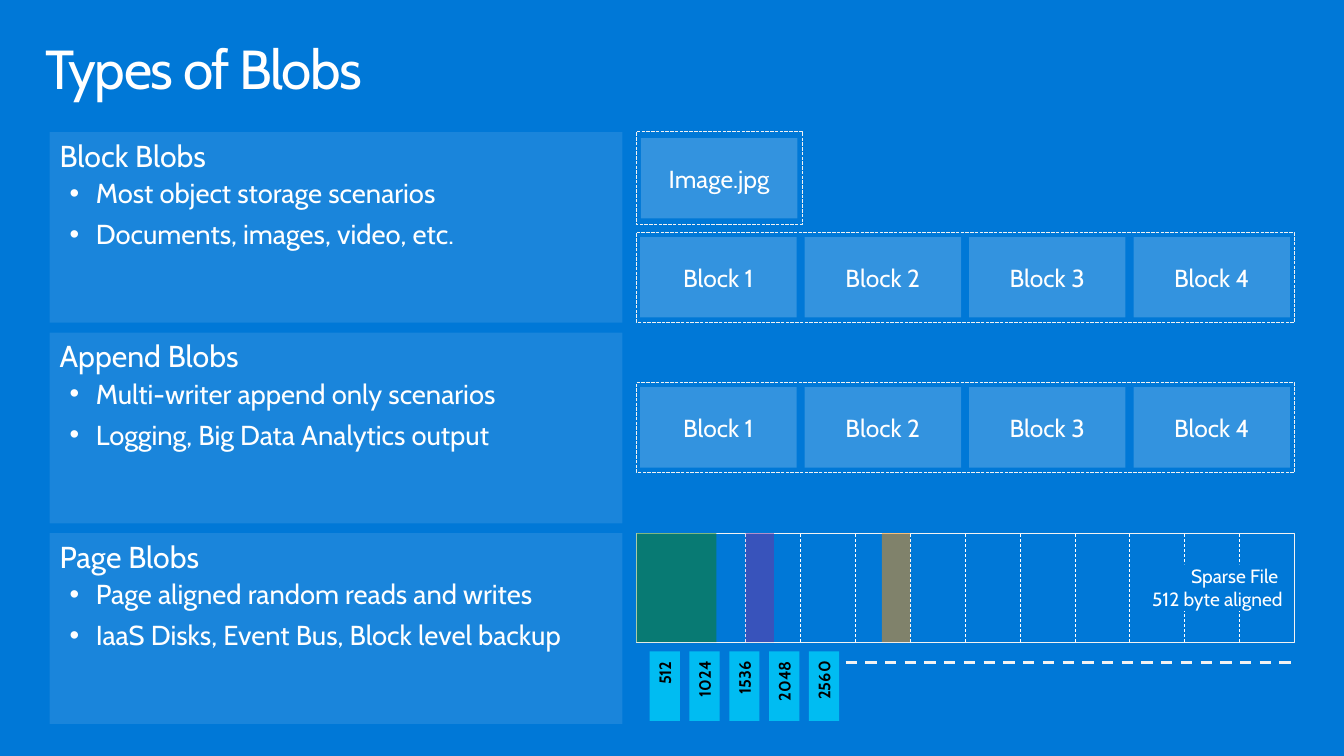
from pptx import Presentation
from pptx.dml.color import RGBColor
from pptx.enum.dml import MSO_LINE
from pptx.enum.shapes import MSO_CONNECTOR, MSO_SHAPE
from pptx.enum.text import MSO_ANCHOR, PP_ALIGN
from pptx.oxml.ns import qn
from pptx.util import Pt
from lxml import etree

RECT, STRAIGHT = MSO_SHAPE.RECTANGLE, MSO_CONNECTOR.STRAIGHT
DASH, SYS_DASH = MSO_LINE.DASH, MSO_LINE.SQUARE_DOT
LEFT, CENTER, RIGHT = PP_ALIGN.LEFT, PP_ALIGN.CENTER, PP_ALIGN.RIGHT
TOP, MIDDLE = MSO_ANCHOR.TOP, MSO_ANCHOR.MIDDLE

THEME = {
    "font": "Cabin",
    "blue": "0078D7", "white": "FFFFFF", "outline": "F2F2F2", "black": "000000",
    "cyan": "00BCF2", "green": "107C10", "purple": "7030A0", "orange": "FF8C00",
    "title": 39.2, "heading": 21.6, "bullet": 19.6, "block": 17.6, "note": 13.7, "tag": 11.8,
}

prs = Presentation()
prs.slide_width, prs.slide_height = Pt(960), Pt(540)
s = prs.slides.add_slide(prs.slide_layouts[6])
s.background.fill.solid()
s.background.fill.fore_color.rgb = RGBColor.from_string(THEME["blue"])


def add_box(x, y, w, h, fill=None, alpha=100, line=None, dash=None):
    sp = s.shapes.add_shape(RECT, Pt(x), Pt(y), Pt(w), Pt(h))
    sp.shadow.inherit = False
    if fill:
        sp.fill.solid()
        sp.fill.fore_color.rgb = RGBColor.from_string(THEME[fill])
        if alpha < 100:
            color = sp._element.spPr.find(qn("a:solidFill"))[0]
            etree.SubElement(color, qn("a:alpha")).set("val", str(alpha * 1000))
    else:
        sp.fill.background()
    if line:
        sp.line.color.rgb = RGBColor.from_string(THEME["outline"])
        sp.line.width = Pt(line)
        sp.line.dash_style = dash
    else:
        sp.line.fill.background()
    return sp


def add_text(p, text, size, color="white", align=LEFT, bold=False):
    p.alignment = align
    r = p.add_run()
    r.text = text
    r.font.name = THEME["font"]
    r.font.size = Pt(THEME[size])
    r.font.bold = bold
    r.font.color.rgb = RGBColor.from_string(THEME[color])
    return r


title = s.shapes.add_textbox(Pt(20.9), Pt(23), Pt(918), Pt(70.6))
tf = title.text_frame
tf.word_wrap = True
tf.margin_left = tf.margin_right = Pt(11.5)
tf.margin_top = tf.margin_bottom = Pt(7.2)
p = tf.paragraphs[0]
p.line_spacing = 0.9
r = add_text(p, "Types of Blobs", "title")
r._r.get_or_add_rPr().set("spc", "-100")

panels = [
    ("Block Blobs", "Most object storage scenarios", "Documents, images, video, etc."),
    ("Append Blobs", "Multi-writer append only scenarios", "Logging, Big Data Analytics output"),
    ("Page Blobs", "Page aligned random reads and writes", "IaaS Disks, Event Bus, Block level backup"),
]
for i, (heading, *bullets) in enumerate(panels):
    sp = add_box(35.5, 94.3 + 143.3 * i, 409, 136.2, "white", 10)
    tf = sp.text_frame
    tf.vertical_anchor = TOP
    add_text(tf.paragraphs[0], heading, "heading")
    for bullet in bullets:
        p = tf.add_paragraph()
        pPr = p._p.get_or_add_pPr()
        pPr.set("marL", str(Pt(25.9)))
        pPr.set("indent", str(Pt(-18.7)))
        etree.SubElement(pPr, qn("a:buFont")).set("typeface", "Arial")
        etree.SubElement(pPr, qn("a:buChar")).set("char", "•")
        p.space_before, p.space_after = Pt(2), Pt(3.9)
        add_text(p, bullet, "bullet")

FRAME_X, FRAME_W = 454.5, 470
add_box(FRAME_X, 94, 118.6, 66.2, line=0.85, dash=SYS_DASH)
blocks = [("Image.jpg", 457.8, 98.6)]
for y in (166.2, 273.4):
    add_box(FRAME_X, y, FRAME_W, 64.1, line=0.85, dash=SYS_DASH)
    blocks += [(f"Block {i + 1}", 457.2 + 117.5 * i, y + 3.2) for i in range(4)]
for label, x, y in blocks:
    sp = add_box(x, y, 111.8, 57.4, "white", 20)
    sp.text_frame.vertical_anchor = MIDDLE
    add_text(sp.text_frame.paragraphs[0], label, "block", align=CENTER)

PAGE_Y, PAGE_H = 380.9, 77.8
add_box(FRAME_X, PAGE_Y, FRAME_W, PAGE_H, "blue", line=0.5)
lines = [(604, 473, 924.5, 473, "outline", 2)]
for i in range(10):
    x = 532.6 + 39.2 * i
    lines.append((x, PAGE_Y + PAGE_H, x, PAGE_Y, "white", 0.5))
for x1, y1, x2, y2, color, width in lines:
    cx = s.shapes.add_connector(STRAIGHT, Pt(x1), Pt(y1), Pt(x2), Pt(y2))
    cx.line.color.rgb = RGBColor.from_string(THEME[color])
    cx.line.width = Pt(width)
    cx.line.dash_style = DASH
    etree.SubElement(cx._element.spPr, qn("a:effectLst"))

for i in range(5):
    sp = add_box(450 + 28.45 * i, 479.3, 49.7, 21.6, "cyan")
    sp.rotation = 270
    sp.text_frame.vertical_anchor = TOP
    add_text(sp.text_frame.paragraphs[0], str(512 * (i + 1)), "tag", "black", RIGHT, True)

for x, w, color in ((FRAME_X, 57.3, "green"), (532.6, 20.2, "purple"), (630, 20.2, "orange")):
    add_box(x, PAGE_Y, w, PAGE_H, color, 50)

sp = add_box(814, 403.2, 102.2, 33.1, "blue")
tf = sp.text_frame
tf.word_wrap = False
tf.vertical_anchor = TOP
tf.margin_left = tf.margin_right = tf.margin_top = tf.margin_bottom = 0
add_text(tf.paragraphs[0], "Sparse File ", "note", align=RIGHT)
add_text(tf.add_paragraph(), "512 byte aligned", "note", align=RIGHT)

prs.save("out.pptx")
